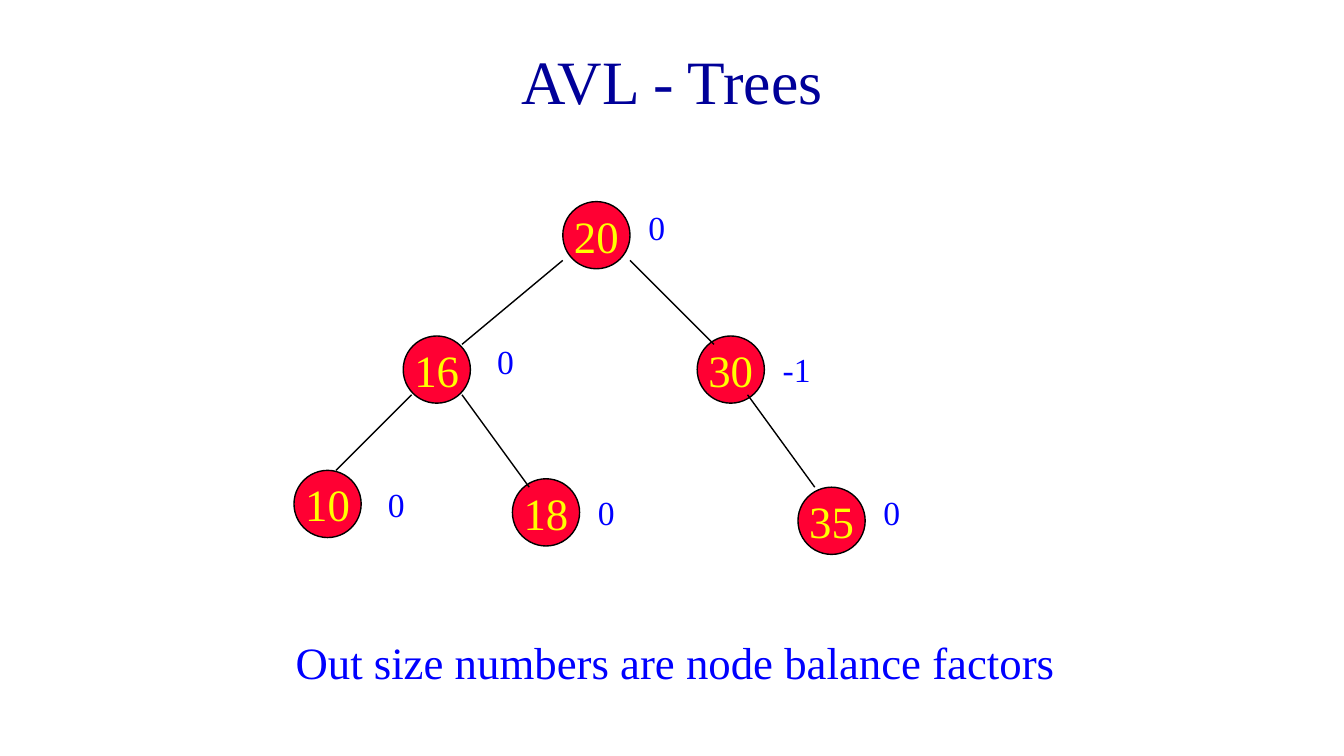
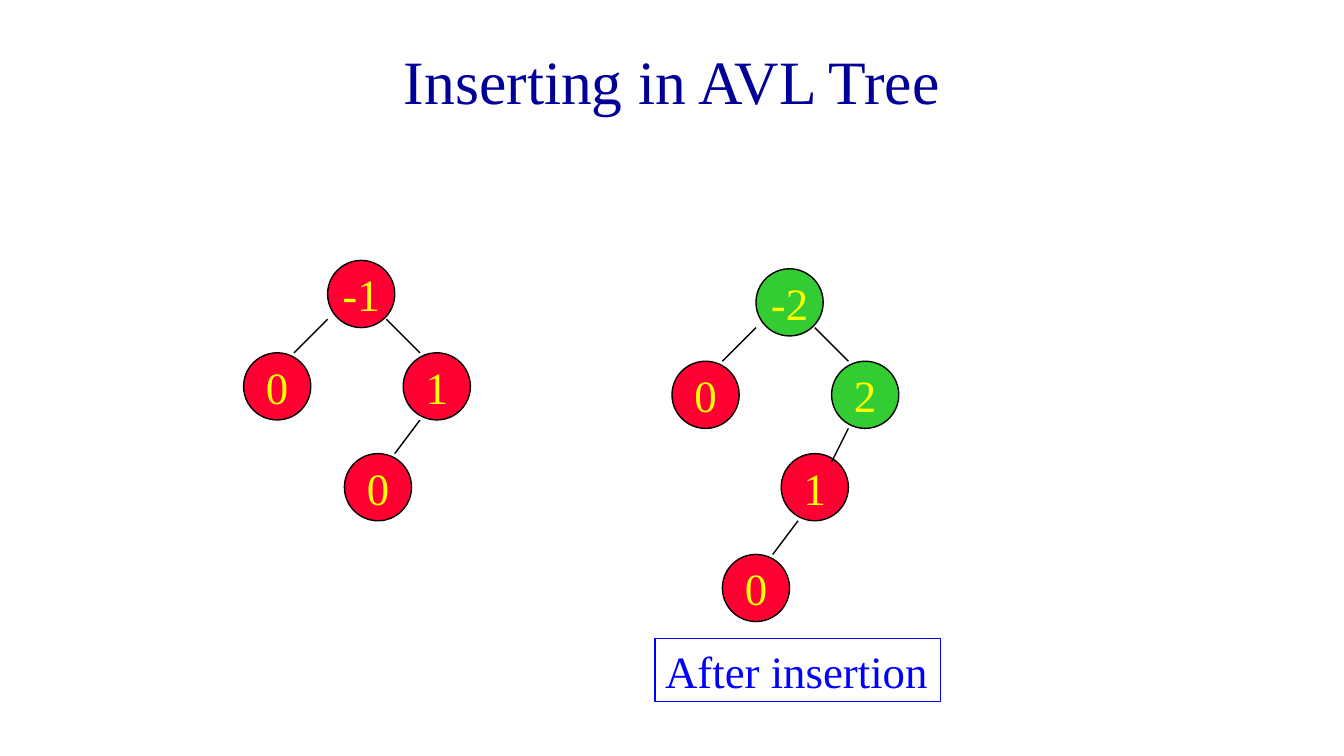
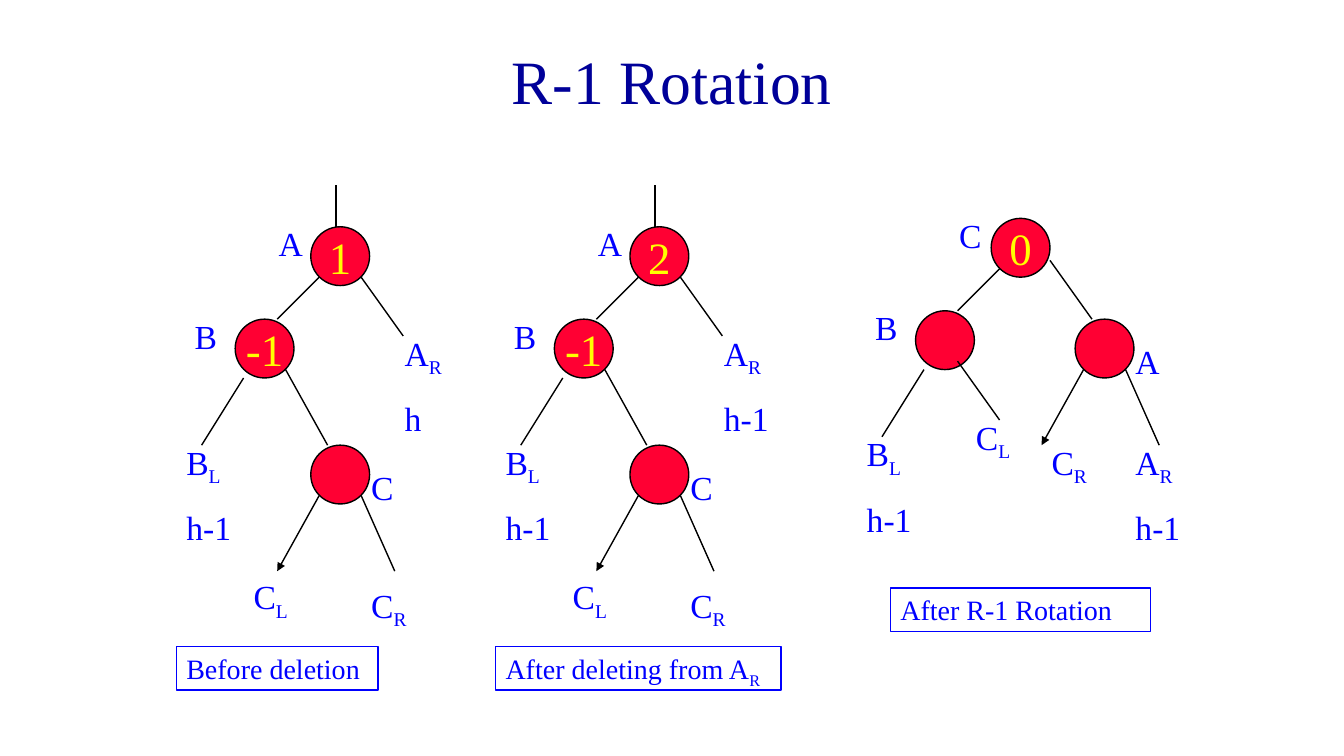
import pptx
import pptx.dml.color
import pptx.enum.shapes
import pptx.enum.text
import pptx.oxml
import pptx.oxml.ns
import pptx.util

Pt = pptx.util.Pt
ALIGN = pptx.enum.text.PP_ALIGN
ANCHOR = pptx.enum.text.MSO_ANCHOR

FONT = "Times New Roman"
NAVY, BLUE, RED, GREEN, YELLOW, BLACK = (
    "000099", "0000FF", "FF0033", "33CC33", "FFFF00", "000000")
SLIDE_SIZE = (960, 540)
TITLE_BOX = (72, 12, 816, 90)
TITLE_SIZE, NODE_SIZE, LABEL_SIZE = 44, 32, 24
ROTATION_STEP = 228  # from the tree before deletion to the tree after it

# Nodes: left, top, text and fill (red when omitted).
# Edges and arrows: x1, y1, x2, y2.
# Labels: left, top, width, then paragraphs; "_" starts a subscript.
BALANCED_TREE = {
    "diameter": 48,
    "nodes": [(402, 144, "20"), (288, 240, "16"), (498, 240, "30"),
              (210, 336, "10"), (366, 342, "18"), (570, 348, "35")],
    "edges": [(402, 186, 330, 246), (294, 282, 240, 336), (330, 282, 378, 348),
              (450, 186, 510, 246), (534, 282, 582, 348)],
    "labels": [(456, 144, 24, "0"), (552, 246, 36, "-1"), (348, 240, 24, "0"),
               (270, 342, 24, "0"), (420, 348, 24, "0"), (624, 348, 24, "0")],
}
BEFORE_INSERTION = {
    "diameter": 48,
    "nodes": [(234, 186, "-1"), (174, 252, "0"), (288, 252, "1"), (246, 324, "0")],
    "edges": [(210, 252, 234, 228), (276, 228, 300, 252), (300, 300, 282, 324)],
}
AFTER_INSERTION = {
    "diameter": 48,
    "nodes": [(540, 192, "-2", GREEN), (480, 258, "0"), (558, 324, "1"),
              (516, 396, "0"), (594, 258, "2", GREEN)],
    "edges": [(516, 258, 540, 234), (582, 234, 606, 258),
              (570, 372, 552, 396), (606, 306, 594, 330)],
}


def unrotated_tree(root_balance, right_height):
    """The R-1 case, with the balance of A and the height of its right subtree."""
    return {
        "diameter": 42,
        "nodes": [(222, 162, root_balance), (168, 228, "-1"), (222, 318, "")],
        "edges": [(228, 198, 198, 228), (258, 198, 288, 240), (240, 162, 240, 132),
                  (174, 270, 144, 318), (204, 264, 234, 318), (258, 354, 282, 408)],
        "arrows": [(228, 354, 198, 408)],
        "labels": [(132, 222, 36, "B"), (192, 156, 36, "A"), (258, 330, 36, "C"),
                   (126, 312, 54, "B_L", "h-1"), (282, 234, 54, "A_R", right_height),
                   (174, 408, 48, "C_L"), (258, 414, 48, "C_R")],
    }


ROTATED_TREE = {
    "diameter": 42,
    "nodes": [(708, 156, "0"), (654, 222, ""), (768, 228, "")],
    "edges": [(714, 192, 684, 222), (684, 258, 714, 300), (660, 264, 630, 312),
              (750, 186, 780, 228), (804, 264, 828, 318)],
    "arrows": [(774, 264, 744, 318)],
    "labels": [(618, 216, 36, "B"), (678, 150, 36, "C"), (804, 240, 36, "A"),
               (612, 306, 54, "B_L", "h-1"), (804, 312, 54, "A_R", "h-1"),
               (744, 312, 48, "C_R"), (690, 294, 48, "C_L")],
}

# Trees: tree and its shift to the right.
# Captions: left, top, width, text, size, framed.
SLIDES = [
    {"title": "AVL - Trees",
     "trees": [(BALANCED_TREE, 0)],
     "captions": [(204, 450, 558, "Out size numbers are node balance factors", 32, False)]},
    {"title": "Inserting in AVL Tree",
     "trees": [(BEFORE_INSERTION, 0), (AFTER_INSERTION, 0)],
     "captions": [(468, 456, 204, "After insertion", 32, True)]},
    {"title": "R-1 Rotation",
     "trees": [(unrotated_tree("1", "h"), 0),
               (unrotated_tree("2", "h-1"), ROTATION_STEP),
               (ROTATED_TREE, 0)],
     "captions": [(126, 462, 144, "Before deletion", 20, True),
                  (126 + ROTATION_STEP, 462, 204, "After deleting from A_R", 20, True),
                  (636, 420, 186, "After R-1 Rotation", 20, True)]},
]


def rgb(color):
    return pptx.dml.color.RGBColor.from_string(color)


def outline(line, color):
    line.color.rgb = rgb(color)
    line.width = Pt(1)


def write(paragraph, text, size, color, align=ALIGN.LEFT):
    """Fill a paragraph; what follows "_" is set as a subscript."""
    base, _, subscript = text.partition("_")
    paragraph.add_run().text = base
    if subscript:
        run = paragraph.add_run()
        run.text = subscript
        run._r.get_or_add_rPr().set("baseline", "-25000")
    paragraph.alignment = align
    paragraph.font.name = FONT
    paragraph.font.size = Pt(size)
    paragraph.font.color.rgb = rgb(color)


def add_title(slide, text):
    frame = slide.shapes.add_textbox(*map(Pt, TITLE_BOX)).text_frame
    frame.word_wrap = True
    frame.vertical_anchor = ANCHOR.MIDDLE
    write(frame.paragraphs[0], text, TITLE_SIZE, NAVY, ALIGN.CENTER)


def add_text(slide, left, top, width, paragraphs, size):
    height = round(size * 1.15 * len(paragraphs) + 8)
    box = slide.shapes.add_textbox(Pt(left), Pt(top), Pt(width), Pt(height))
    frame = box.text_frame
    frame.word_wrap = True
    frame.auto_size = pptx.enum.text.MSO_AUTO_SIZE.SHAPE_TO_FIT_TEXT
    for index, text in enumerate(paragraphs):
        paragraph = frame.add_paragraph() if index else frame.paragraphs[0]
        write(paragraph, text, size, BLUE)
        if index:
            paragraph.space_before = Pt(14)
    return box


def add_node(slide, left, top, diameter, text, fill=RED):
    node = slide.shapes.add_shape(pptx.enum.shapes.MSO_SHAPE.OVAL,
                                  Pt(left), Pt(top), Pt(diameter), Pt(diameter))
    node.shadow.inherit = False
    node.fill.solid()
    node.fill.fore_color.rgb = rgb(fill)
    outline(node.line, BLACK)
    if text:
        frame = node.text_frame
        frame.word_wrap = False
        frame.vertical_anchor = ANCHOR.MIDDLE
        write(frame.paragraphs[0], text, NODE_SIZE, YELLOW, ALIGN.CENTER)


def add_edge(slide, x1, y1, x2, y2, arrow=False):
    edge = slide.shapes.add_connector(pptx.enum.shapes.MSO_CONNECTOR.STRAIGHT,
                                      Pt(x1), Pt(y1), Pt(x2), Pt(y2))
    outline(edge.line, BLACK)
    if arrow:
        head = pptx.oxml.parse_xml(
            f'<a:tailEnd {pptx.oxml.ns.nsdecls("a")} type="triangle"/>')
        edge.line._get_or_add_ln().append(head)
    edge._element.spPr.append(
        pptx.oxml.parse_xml(f'<a:effectLst {pptx.oxml.ns.nsdecls("a")}/>'))


def add_tree(slide, tree, shift):
    for left, top, *text_and_fill in tree["nodes"]:
        add_node(slide, left + shift, top, tree["diameter"], *text_and_fill)
    for kind in ("edges", "arrows"):
        for x1, y1, x2, y2 in tree.get(kind, []):
            add_edge(slide, x1 + shift, y1, x2 + shift, y2, kind == "arrows")
    for left, top, width, *paragraphs in tree.get("labels", []):
        add_text(slide, left + shift, top, width, paragraphs, LABEL_SIZE)


def main():
    deck = pptx.Presentation()
    deck.slide_width, deck.slide_height = map(Pt, SLIDE_SIZE)
    for content in SLIDES:
        slide = deck.slides.add_slide(deck.slide_layouts[6])
        add_title(slide, content["title"])
        for tree, shift in content["trees"]:
            add_tree(slide, tree, shift)
        for left, top, width, text, size, framed in content["captions"]:
            caption = add_text(slide, left, top, width, [text], size)
            if framed:
                outline(caption.line, BLUE)
    deck.save("out.pptx")


if __name__ == "__main__":
    main()
